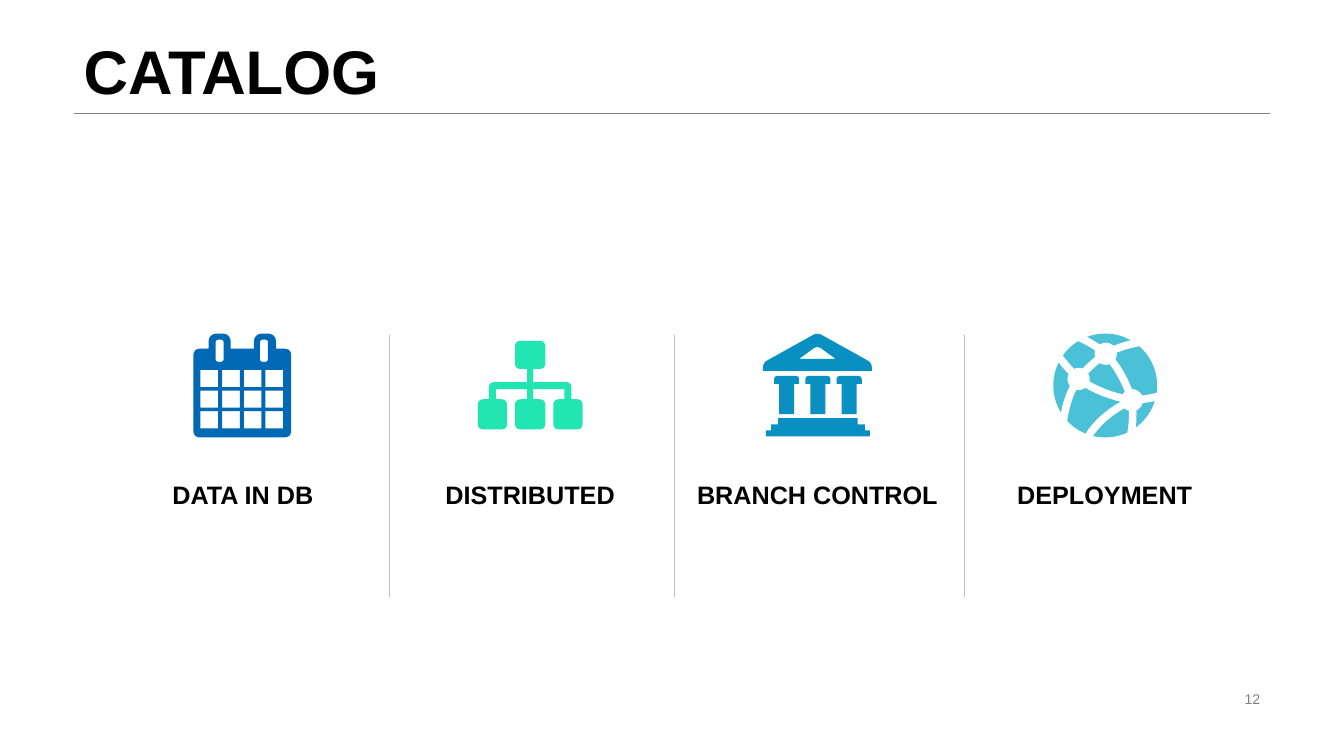
import dataclasses

import lxml.etree
import pptx
import pptx.dml.color
import pptx.enum.shapes
import pptx.enum.text
import pptx.oxml.ns
import pptx.util

Pt = pptx.util.Pt
RGB = pptx.dml.color.RGBColor.from_string
ALIGN = pptx.enum.text.PP_ALIGN
ANCHOR = pptx.enum.text.MSO_ANCHOR


@dataclasses.dataclass(frozen=True)
class Theme:
    font: str = "Arial"
    text: str = "000000"
    muted: str = "808080"
    divider: str = "BFBFBF"
    background: str = "FFFFFF"
    calendar: str = "0069B5"
    hierarchy: str = "22E6B2"
    bank: str = "098FC1"
    globe: str = "4AC1D6"
    title_size: float = 44
    label_size: float = 18
    number_size: float = 10
    line_width: float = 0.25


THEME = Theme()
ICON_UNIT = 0.72  # points per step of the icon drawing grid
CURVE_STEPS = 8


# Geometry
def curve(a, b, c):
    """Points along a quadratic curve from a to c, bent toward b."""
    steps = [i / CURVE_STEPS for i in range(CURVE_STEPS + 1)]
    return [tuple((1 - t) ** 2 * a[k] + 2 * t * (1 - t) * b[k] + t * t * c[k] for k in (0, 1))
            for t in steps]


def toward(a, b, distance):
    share = distance / ((b[0] - a[0]) ** 2 + (b[1] - a[1]) ** 2) ** 0.5
    return a[0] + (b[0] - a[0]) * share, a[1] + (b[1] - a[1]) * share


def rounded(corners):
    """Polygon from (x, y) or (x, y, radius) corners."""
    points = []
    for i, (x, y, *radius) in enumerate(corners):
        corner = (x, y)
        if radius:
            start = toward(corner, corners[i - 1], radius[0])
            end = toward(corner, corners[(i + 1) % len(corners)], radius[0])
            points += curve(start, corner, end)
        else:
            points.append(corner)
    return points


def mirrored(width, half):
    """Symmetric outline from the corners of its left half."""
    return rounded(half + [(width - x, *rest) for x, *rest in reversed(half)])


def box(x, y, width, height, *radius):
    return rounded([(x, y, *radius), (x + width, y, *radius),
                    (x + width, y + height, *radius), (x, y + height, *radius)])


# Icon outlines
def calendar():
    outline = mirrored(97, [(37, 15), (37, 0, 9), (15, 0, 9), (15, 15), (0, 15, 7), (0, 103, 7)])
    rings = [box(x, 6, 8, 22, 3) for x in (22, 66)]
    days = [box(7 + 21.5 * i, 36 + 20.5 * j, 17.5, 17) for i in range(4) for j in range(3)]
    return [outline, *rings, *days]


def hierarchy():
    r = 6
    return [mirrored(104, [
        (37, 0, r), (37, 28, r), (49, 28), (49, 41), (11, 41, r), (11, 58),
        (0, 58, r), (0, 88, r), (29, 88, r), (29, 58, r), (18, 58), (18, 48),
        (49, 48), (49, 58), (37, 58, r), (37, 88, r)])]


def bank():
    steps = mirrored(109, [(15, 83), (15, 89), (8, 89), (8, 95), (3, 95), (3, 101)])
    columns = [[(x + 11 + 31 * i, y) for x, y in
                mirrored(25, [(0, 41, 4), (0, 49), (5, 49), (5, 79)])] for i in range(3)]
    roof = rounded([(0, 36), (0, 28, 5), (54, -2, 5), (108, 28, 5), (108, 36)])
    gable = rounded([(36, 24), (54, 11, 5), (72, 24)])
    return [steps, *columns, roof, gable]


# Slide elements
def set_fill(sp, color):
    sp.shadow.inherit = False
    sp.fill.solid()
    sp.fill.fore_color.rgb = RGB(color)
    sp.line.fill.background()


def add_outline(slide, contours, x, y, close=True):
    paths = [[(Pt(px * ICON_UNIT), Pt(py * ICON_UNIT)) for px, py in c] for c in contours]
    builder = slide.shapes.build_freeform(*paths[0][0])
    for points in paths:
        builder.move_to(*points[0])
        builder.add_line_segments(points[1:], close=close)
    sp = builder.convert_to_shape(Pt(x), Pt(y))
    sp.shadow.inherit = False
    return sp


def add_disc(slide, x, y, center, radius, color):
    left, top = [Pt(o + (c - radius) * ICON_UNIT) for o, c in zip((x, y), center)]
    size = Pt(2 * radius * ICON_UNIT)
    sp = slide.shapes.add_shape(pptx.enum.shapes.MSO_SHAPE.OVAL, left, top, size, size)
    set_fill(sp, color)


def add_globe(slide, x, y):
    top, left, right = nodes = [(52, 20), (25, 45), (78, 66)]
    routes = [
        (top, (36, 31), left), (left, (48, 61), right), (top, (69, 38), right),
        (right, (48, 80), (34, 103)), (right, (80, 84), (77, 100)),
        (right, (95, 65), (105, 62)), (top, (67, 12), (84, 9)),
        (top, (40, 10), (26, 4)), (left, (13, 33), (5, 22)), (left, (14, 60), (10, 86)),
    ]
    add_disc(slide, x, y, (51.5, 51.5), 51.5, THEME.globe)
    sp = add_outline(slide, [curve(*route) for route in routes], x, y, close=False)
    sp.fill.background()
    sp.line.color.rgb = RGB(THEME.background)
    sp.line.width = Pt(5.4)
    for node in nodes:
        add_disc(slide, x, y, node, 11, THEME.background)


def format_text(sp, text, size, color, align, anchor, bold=False):
    tf = sp.text_frame
    tf.text = text
    tf.auto_size = pptx.enum.text.MSO_AUTO_SIZE.NONE
    tf.vertical_anchor = anchor
    p = tf.paragraphs[0]
    p.alignment = align
    p.font.name, p.font.size, p.font.bold = THEME.font, Pt(size), bold
    p.font.color.rgb = RGB(color)
    return tf


def add_title(slide, text):
    sp = slide.shapes.title
    sp.left, sp.top, sp.width, sp.height = Pt(52.6), Pt(0), Pt(854.6), Pt(80.6)
    tf = format_text(sp, text, THEME.title_size, THEME.text, ALIGN.LEFT, ANCHOR.BOTTOM, True)
    tf.paragraphs[0].line_spacing = 0.9


def add_label(slide, text, x):
    sp = slide.shapes.add_textbox(Pt(x), Pt(337.7), Pt(174.2), Pt(31.7))
    tf = format_text(sp, text, THEME.label_size, THEME.text, ALIGN.CENTER, ANCHOR.MIDDLE, True)
    tf.word_wrap = False


def add_number(slide, text):
    sp = slide.shapes.add_textbox(Pt(678.2), Pt(491), Pt(229), Pt(16.6))
    tf = format_text(sp, text, THEME.number_size, THEME.muted, ALIGN.RIGHT, ANCHOR.MIDDLE)
    tf.word_wrap = True


def add_line(slide, x1, y1, x2, y2, color):
    line = slide.shapes.add_connector(pptx.enum.shapes.MSO_CONNECTOR.STRAIGHT,
                                      Pt(x1), Pt(y1), Pt(x2), Pt(y2))
    line.line.color.rgb = RGB(color)
    line.line.width = Pt(THEME.line_width)
    lxml.etree.SubElement(line._element.spPr, pptx.oxml.ns.qn("a:effectLst"))


def main():
    prs = pptx.Presentation()
    prs.slide_width, prs.slide_height = Pt(960), Pt(540)
    slide = prs.slides.add_slide(prs.slide_layouts[5])

    # Heading and page number
    add_line(slide, 52.6, 80.8, 907.2, 80.8, THEME.muted)
    add_title(slide, "CATALOG")
    add_number(slide, "12")

    # Topic icons
    for contours, x, y, color in (
        (calendar(), 138.2, 238.3, THEME.calendar),
        (hierarchy(), 341.3, 243.4, THEME.hierarchy),
        (bank(), 545, 239, THEME.bank),
    ):
        set_fill(add_outline(slide, contours, x, y), color)
    add_globe(slide, 752.4, 238.3)

    # Topic labels
    for i, label in enumerate(("DATA IN DB", "DISTRIBUTED", "BRANCH CONTROL", "DEPLOYMENT")):
        add_label(slide, label, 86.4 + 205.2 * i)

    # Dividers between topics
    for x in (277.9, 481.7, 689):
        add_line(slide, x, 239, x, 426.2, THEME.divider)

    prs.save("out.pptx")


if __name__ == "__main__":
    main()
